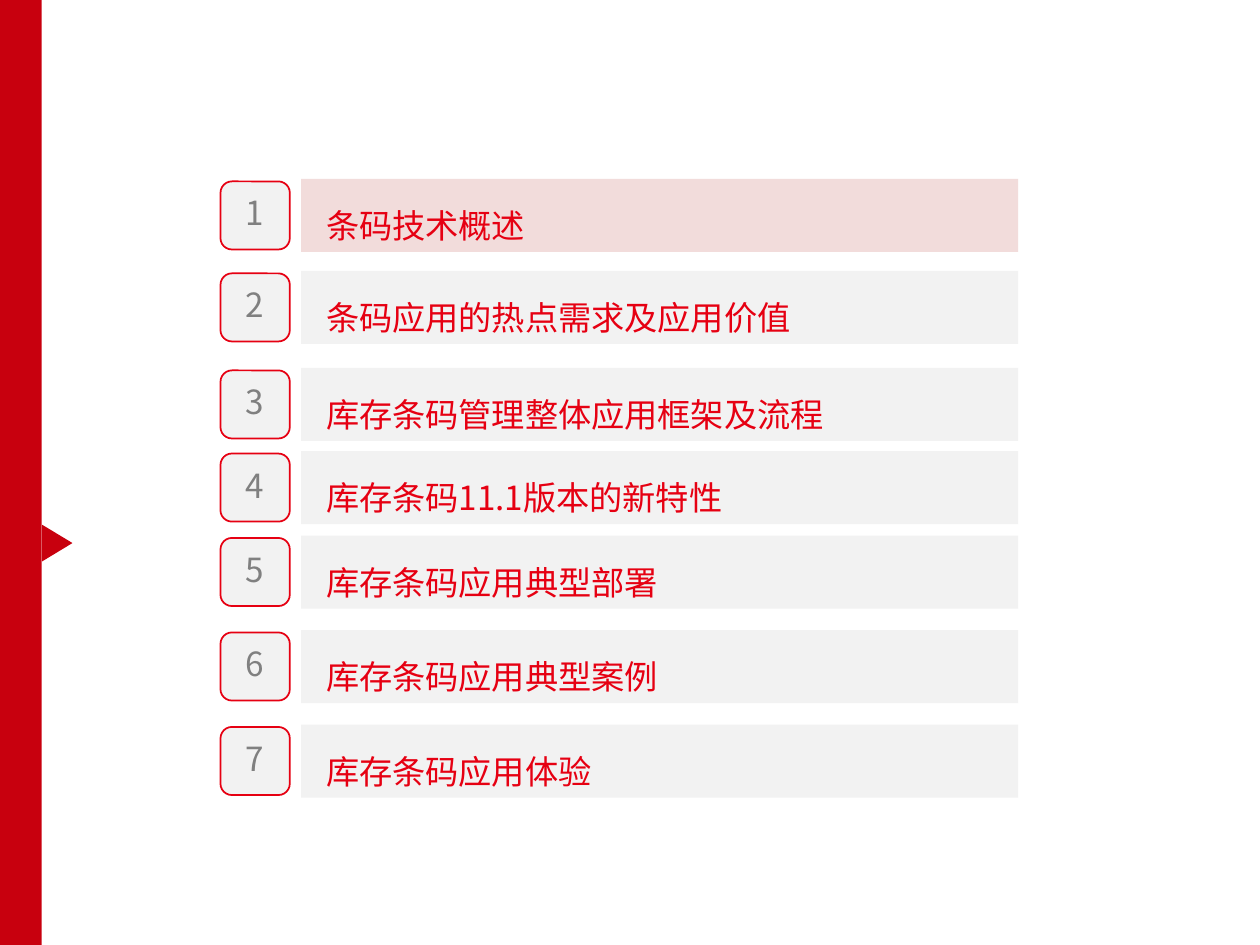
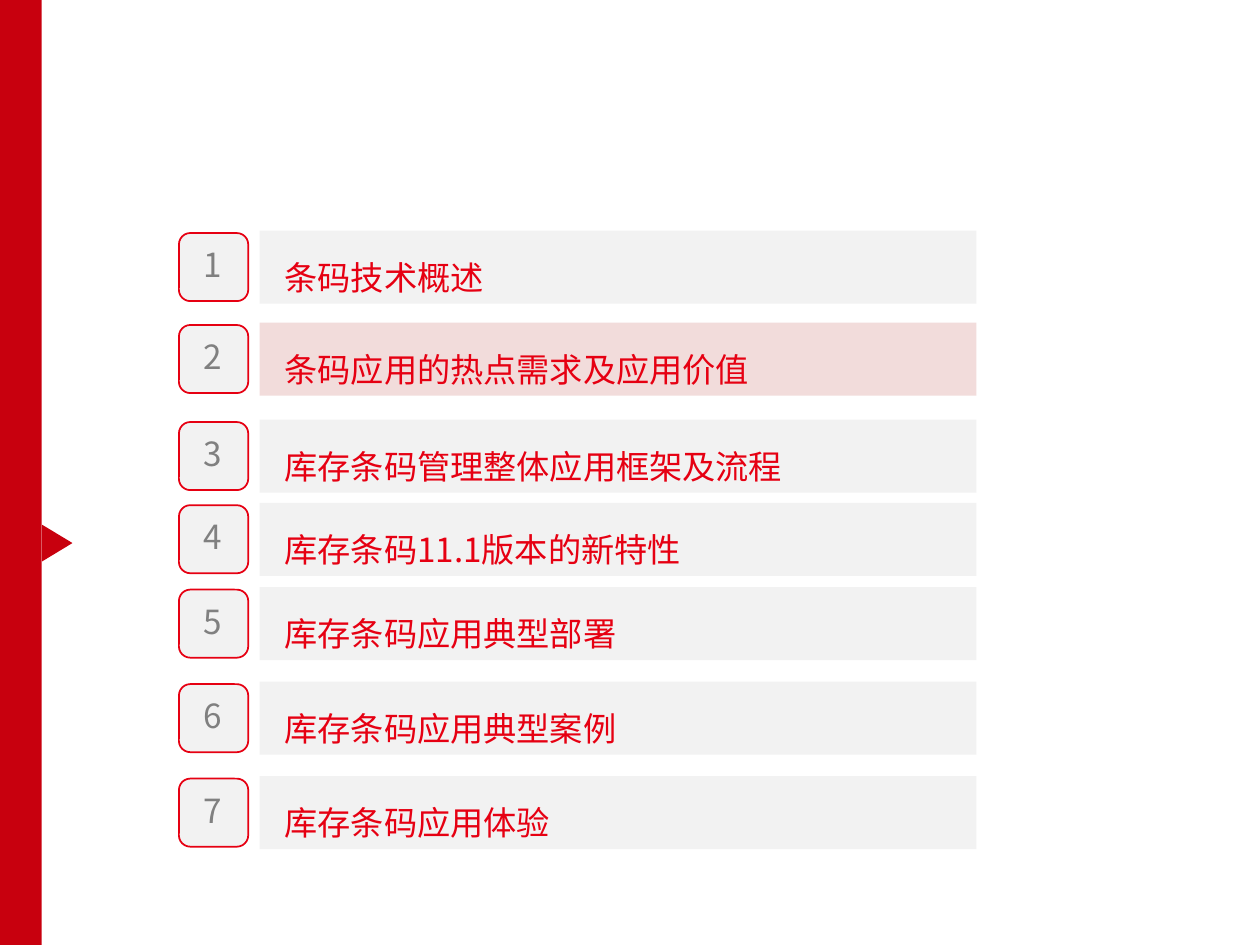
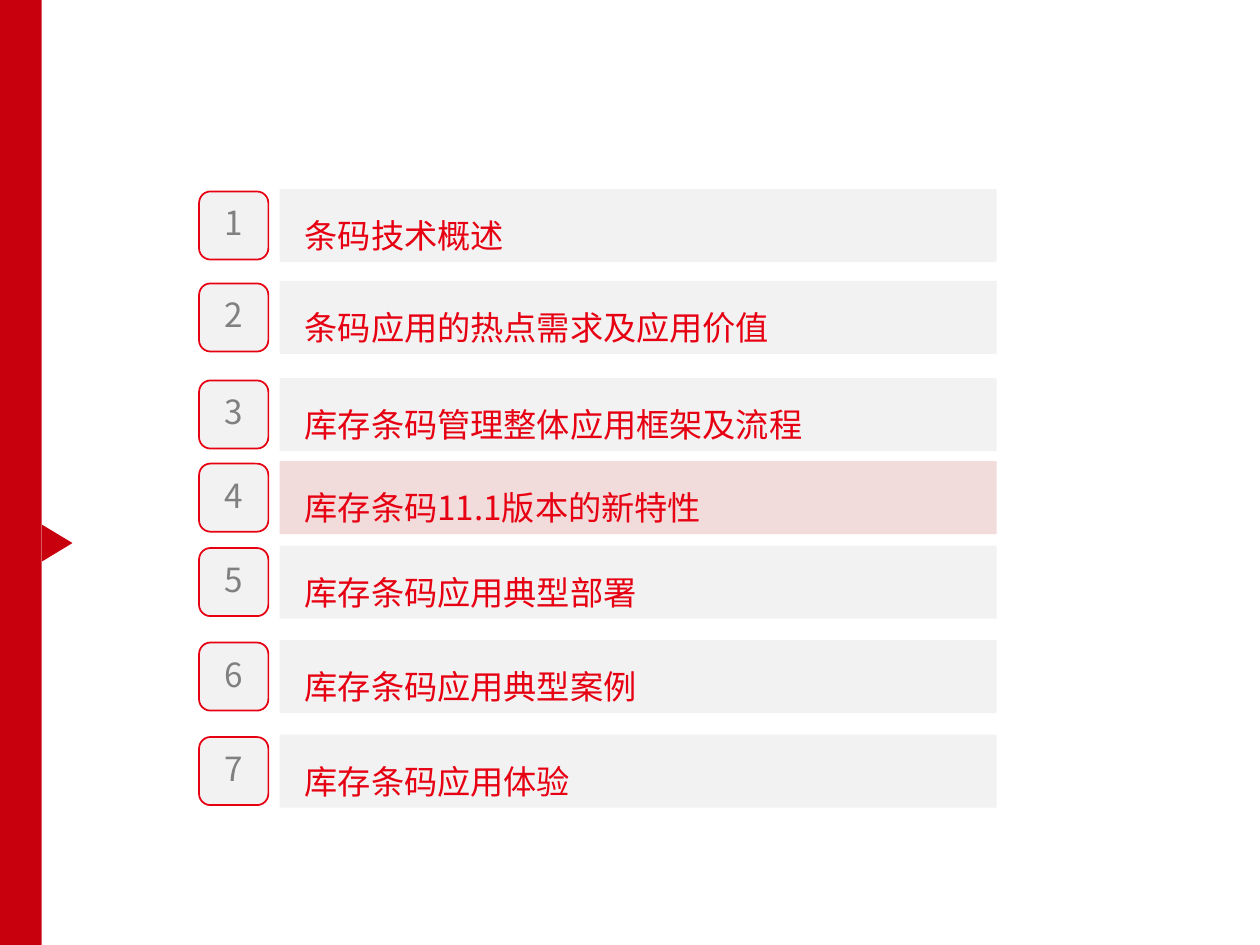
"""Builds three agenda slides, each with its current topic highlighted."""
from lxml import etree
from pptx import Presentation
from pptx import util as u
from pptx.dml.color import RGBColor
from pptx.enum import shapes, text
from pptx.oxml import ns

BAND = RGBColor(0xC8, 0x00, 0x0E)
RED = RGBColor(0xE6, 0x00, 0x12)
PINK = RGBColor(0xF2, 0xDC, 0xDB)
PALE = RGBColor(0xF2, 0xF2, 0xF2)
GRAY = RGBColor(0x80, 0x80, 0x80)
FONT = "Noto Sans CJK SC"
SIZE = u.Pt(19)
KIND = shapes.MSO_SHAPE

TOPICS = [
    ("条码技术概述", 0),
    ("条码应用的热点需求及应用价值", 0.73),
    ("库存条码管理整体应用框架及流程", 1.5),
    ("库存条码11.1版本的新特性", 2.16),
    ("库存条码应用典型部署", 2.83),
    ("库存条码应用典型案例", 3.58),
    ("库存条码应用体验", 4.33),
]
AGENDAS = [(2.39, 1.42, 1), (2.06, 1.83, 2), (2.22, 1.5, 4)]


def add_form(parent, kind, box, fill, line=None):
    """Add a flat preset shape and return it."""
    form = parent.add_shape(kind, *map(u.Inches, box))
    form.shadow.inherit = False
    form.fill.solid()
    form.fill.fore_color.rgb = fill
    if line is None:
        form.line.fill.background()
    else:
        form.line.color.rgb = line
        form.line.width = u.Pt(1)
    return form


def add_run(para, words, color):
    """Add a run in the deck font for Latin and Chinese text."""
    run = para.add_run()
    run.text = words
    run.font.size = SIZE
    run.font.color.rgb = color
    run.font.name = FONT
    props = run.font._element
    etree.SubElement(props, ns.qn("a:ea"), typeface=FONT)


def add_side(slide):
    """Add the red side band and its pointer."""
    add_form(slide.shapes, KIND.RECTANGLE, (-0.01, 0, 0.34, 7.5), BAND)
    arrow = add_form(slide.shapes, KIND.ISOSCELES_TRIANGLE,
                     (0.31, 4.19, 0.29, 0.24), BAND)
    arrow.rotation = 90


def add_bar(parent, left, top, words, fill):
    """Add a topic bar with its title."""
    bar = add_form(parent, KIND.RECTANGLE, (left, top, 5.69, 0.58), fill)
    frame = bar.text_frame
    frame.word_wrap = True
    frame.vertical_anchor = text.MSO_ANCHOR.MIDDLE
    para = frame.paragraphs[0]
    para.alignment = text.PP_ALIGN.LEFT
    para.line_spacing = 1.5
    props = para._p.get_or_add_pPr()
    props.set("marL", str(u.Inches(0.1)))
    after = etree.SubElement(props, ns.qn("a:spcAft"))
    etree.SubElement(after, ns.qn("a:spcPct"), val="35000")
    add_run(para, words, RED)


def add_digit(parent, left, top, digit):
    """Add the number of a topic."""
    size = (0.29, 0.34) if digit <= 4 else (0.36, 0.42)
    box = parent.add_textbox(*map(u.Inches, (left, top, *size)))
    frame = box.text_frame
    frame.word_wrap = False
    frame.auto_size = text.MSO_AUTO_SIZE.SHAPE_TO_FIT_TEXT
    add_run(frame.paragraphs[0], str(digit), GRAY)


def add_topic(slide, left, top, digit, words, active):
    """Add one agenda row as a group of tile, bar and number."""
    parent = slide.shapes.add_group_shape().shapes
    add_form(parent, KIND.ROUNDED_RECTANGLE,
             (left - 0.64, top + 0.02, 0.55, 0.54), PALE, RED)
    add_bar(parent, left, top, words, PINK if active else PALE)
    add_digit(parent, left - 0.54, top + 0.06, digit)


def main():
    """Build and save the deck."""
    deck = Presentation()
    deck.slide_width = u.Inches(10)
    deck.slide_height = u.Inches(7.5)
    for left, top, current in AGENDAS:
        slide = deck.slides.add_slide(deck.slide_layouts[6])
        add_side(slide)
        for digit, (words, drop) in enumerate(TOPICS, 1):
            add_topic(slide, left, top + drop, digit, words, digit == current)
    deck.save("out.pptx")


if __name__ == "__main__":
    main()
